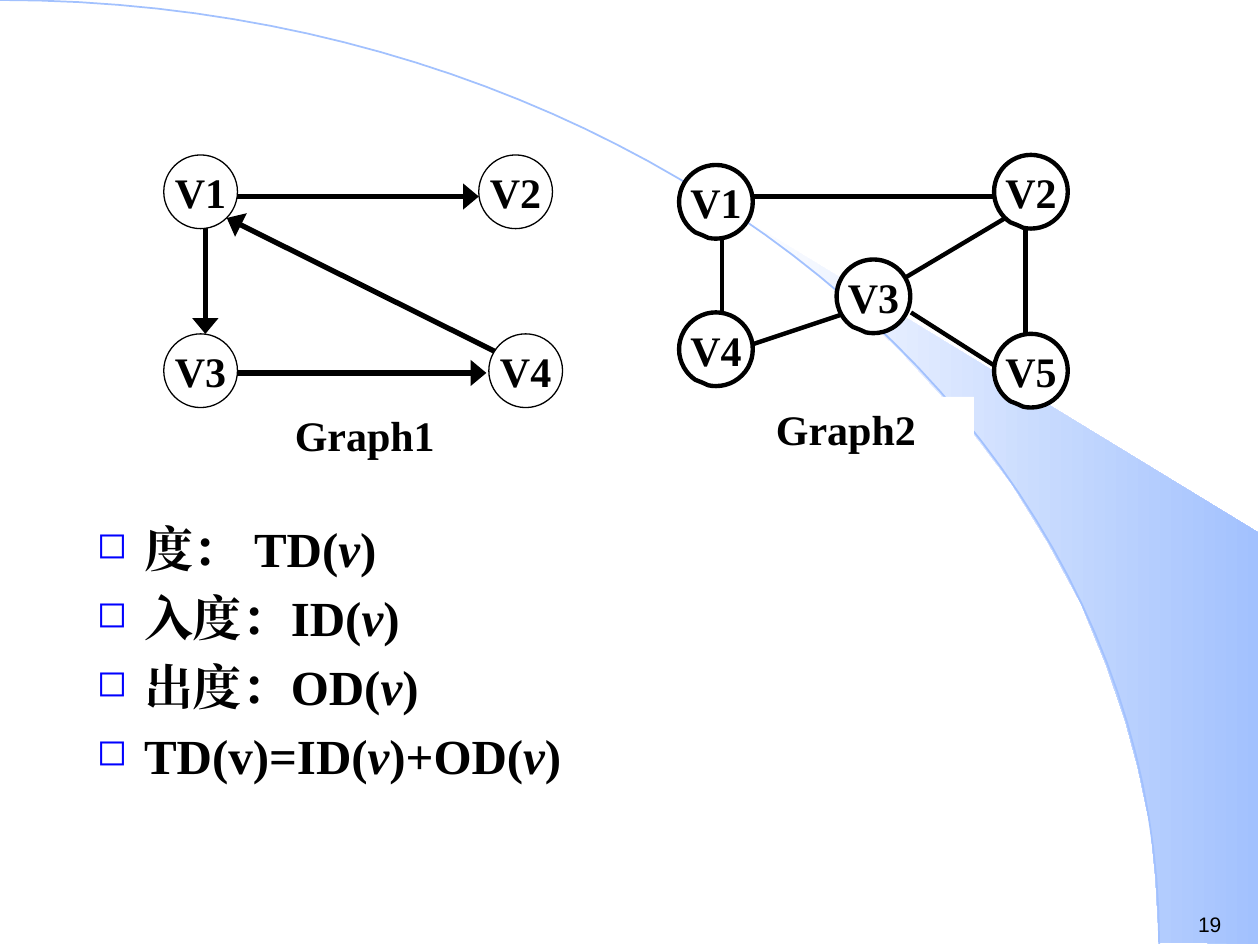
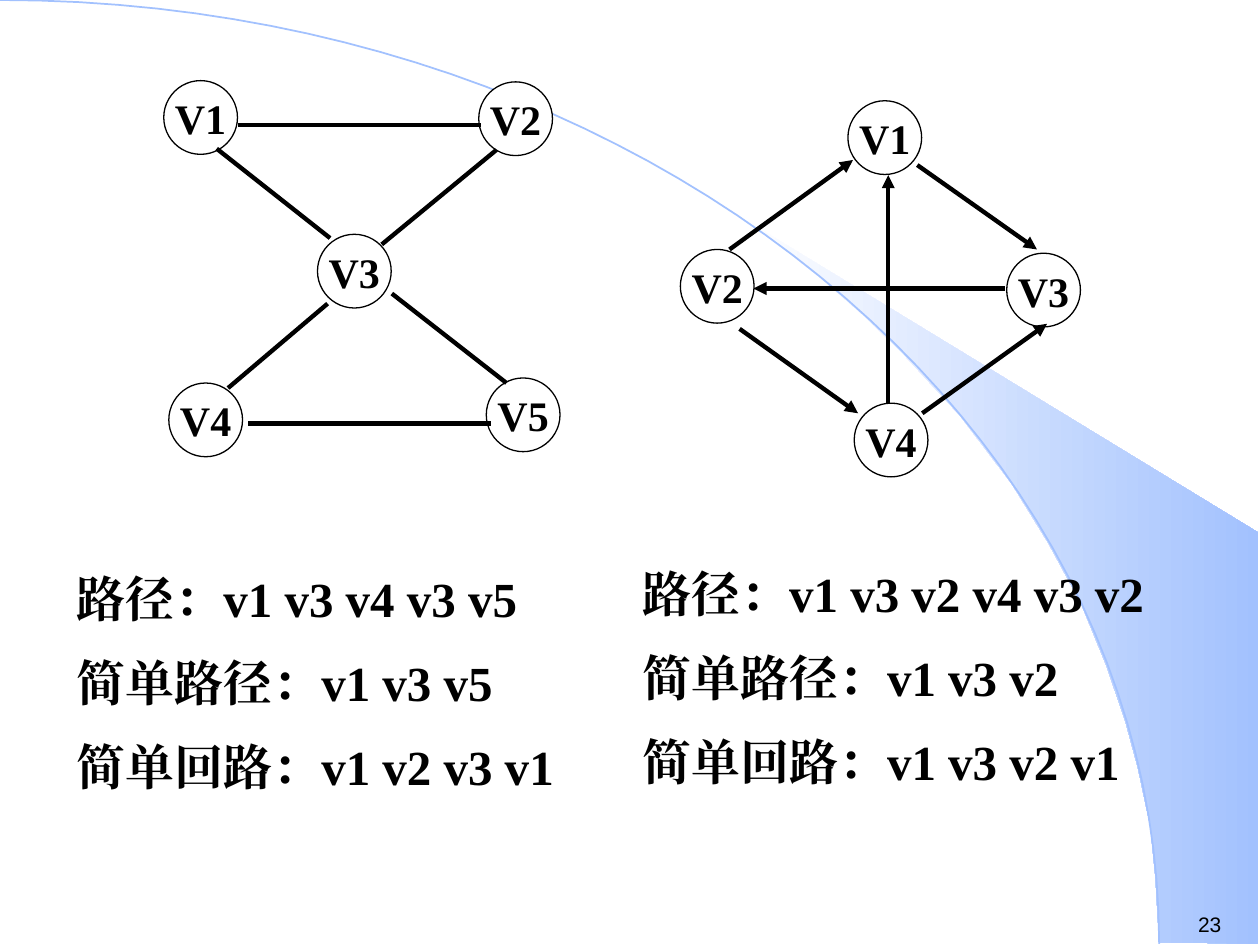
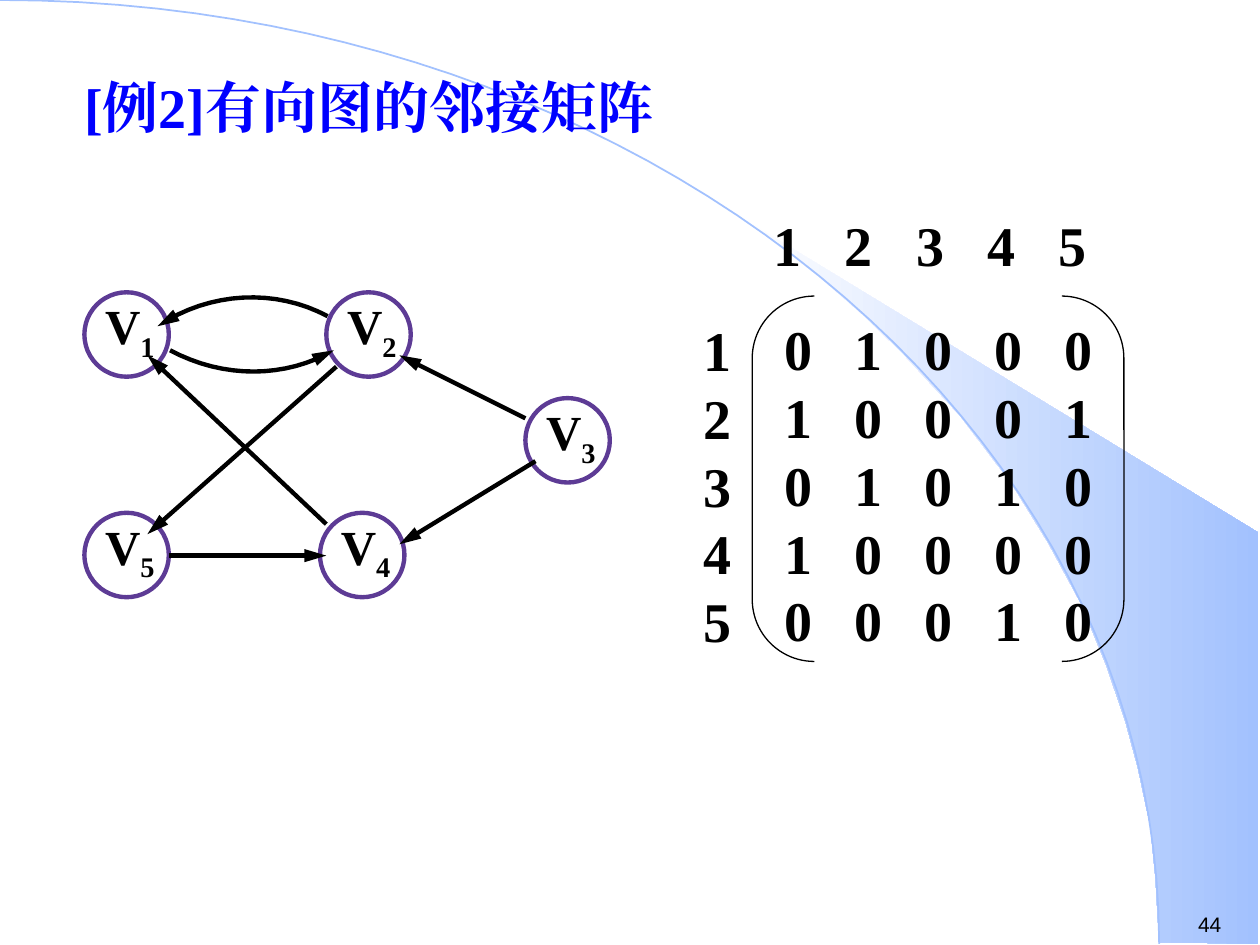
import pptx
import pptx.dml.color
import pptx.enum.shapes
import pptx.enum.text
import pptx.oxml.ns
import pptx.util
from lxml import etree

Pt = pptx.util.Pt
RGBColor = pptx.dml.color.RGBColor
SHAPE = pptx.enum.shapes.MSO_SHAPE
ALIGN = pptx.enum.text.PP_ALIGN
ANCHOR = pptx.enum.text.MSO_ANCHOR
qn = pptx.oxml.ns.qn

BLACK = RGBColor(0x00, 0x00, 0x00)
WHITE = RGBColor(0xFF, 0xFF, 0xFF)
BLUE = RGBColor(0x00, 0x00, 0xFF)
SKY = RGBColor(0xA2, 0xC1, 0xFE)
PURPLE = RGBColor(0x5D, 0x3B, 0x95)

COLUMNS, ROWS = 100, 75
LINE_HEIGHT = 1.21
INSET = (1, 0.5)
NODE = 5.85
RING = 6.7
EDGE = 2.5

BEAM = [(92, 74.8), (99.9, 74.9), (99.9, 42.3), (58.9, 17.3), (62.4, 19.9),
        (65.3, 22.2), (68.5, 25), (71.6, 28), (76.2, 33), (80.3, 38.4),
        (83.2, 43.1), (85.8, 47.9), (87.8, 52.8), (89.3, 57.2),
        (90.3, 60.9), (91.3, 65.6), (91.7, 69.6), (92, 74.8)]
ARC = [(0, 0), (50.8, 0), (92, 33.5), (92, 74.9)]


def bezier(start, control1, control2, end, steps=48):
    """Points along a cubic curve."""
    points = []
    for step in range(steps + 1):
        t = step / steps
        weights = ((1 - t) ** 3, 3 * t * (1 - t) ** 2, 3 * t * t * (1 - t), t ** 3)
        corners = (start, control1, control2, end)
        points.append(tuple(sum(w * corner[axis] for w, corner in zip(weights, corners))
                            for axis in (0, 1)))
    return points


class Deck:
    """Holds the style and the current slide; lengths are grid columns and rows."""

    font = "Times New Roman"

    def __init__(self):
        self.presentation = pptx.Presentation()
        self.presentation.slide_width = pptx.util.Inches(10)
        self.presentation.slide_height = pptx.util.Inches(7.5)
        self.slide = None

    def grid(self, *lengths):
        """Alternating column and row counts as slide lengths."""
        cells = (self.presentation.slide_width / COLUMNS,
                 self.presentation.slide_height / ROWS)
        return [pptx.util.Emu(round(length * cells[i % 2]))
                for i, length in enumerate(lengths)]

    def new_slide(self, number):
        self.slide = self.presentation.slides.add_slide(
            self.presentation.slide_layouts[6])
        beam = self.freeform(BEAM, closed=True)
        beam.line.fill.background()
        beam.fill.gradient()
        beam.fill.gradient_angle = 0
        for stop, color in zip(beam.fill.gradient_stops, (WHITE, SKY)):
            stop.color.rgb = color
        self.stroke(self.freeform(bezier(*ARC)), 1, SKY)
        self.text([str(number)], (94.1, 71.8, 5.9, 3), 12, bold=False, font="Arial")

    def stroke(self, shape, width, color=BLACK, arrow=None):
        """Line of a shape; arrow is the width and length of its end arrowhead."""
        shape.line.color.rgb = color
        shape.line.width = Pt(width)
        if arrow:
            line = shape.line._get_or_add_ln()
            etree.SubElement(line, qn("a:tailEnd"), type="triangle",
                             w=arrow[0], len=arrow[1])

    def freeform(self, points, closed=False):
        points = [self.grid(*point) for point in points]
        builder = self.slide.shapes.build_freeform(*points[0], scale=1.0)
        builder.add_line_segments(points[1:], close=closed)
        shape = builder.convert_to_shape()
        shape.shadow.inherit = False
        shape.fill.background()
        return shape

    def edges(self, pairs, width=EDGE, arrow=None):
        for x1, y1, x2, y2 in pairs:
            connector = self.slide.shapes.add_connector(
                pptx.enum.shapes.MSO_CONNECTOR.STRAIGHT, *self.grid(x1, y1, x2, y2))
            self.stroke(connector, width, arrow=arrow)
            etree.SubElement(connector._element.spPr, qn("a:effectLst"))

    def shape(self, kind, box, fill=None, line=None, width=0.75, adjustments=()):
        shape = self.slide.shapes.add_shape(kind, *self.grid(*box))
        shape.shadow.inherit = False
        for index, value in enumerate(adjustments):
            shape.adjustments[index] = value
        if fill is None:
            shape.fill.background()
        else:
            shape.fill.solid()
            shape.fill.fore_color.rgb = fill
        if line is None:
            shape.line.fill.background()
        else:
            self.stroke(shape, width, line)
        return shape

    def set_text(self, shape, lines, size, align=ALIGN.LEFT, anchor=ANCHOR.TOP,
                 wrap=True, insets=INSET * 2, gap=0, bold=True, color=BLACK,
                 font=font, bullets=False, tab=None, emphasis="italic"):
        """Fill a shape with paragraphs; parts between bars get the emphasis."""
        frame = shape.text_frame
        frame.word_wrap = wrap
        frame.vertical_anchor = anchor
        (frame.margin_left, frame.margin_top,
         frame.margin_right, frame.margin_bottom) = self.grid(*insets)
        for index, line in enumerate(lines):
            paragraph = frame.paragraphs[0] if index == 0 else frame.add_paragraph()
            paragraph.alignment = align
            paragraph.line_spacing = Pt(size * LINE_HEIGHT)
            if index:
                paragraph.space_before = Pt(size * gap)
            if bullets:
                self.bullet(paragraph)
            if tab:
                self.tabs(paragraph, tab, line.count("\t"))
            for part, words in enumerate(line.split("|")):
                if not words:
                    continue
                run = paragraph.add_run()
                run.text = words
                run.font.size = Pt(size)
                run.font.bold = bold
                run.font.name = font
                run.font.color.rgb = color
                properties = run.font._element
                etree.SubElement(properties, qn("a:ea"), typeface=font)
                if part % 2:
                    if emphasis == "italic":
                        run.font.italic = True
                    else:
                        properties.set("baseline", "-25000")

    def bullet(self, paragraph):
        properties = paragraph._p.get_or_add_pPr()
        indent = self.grid(3.75)[0]
        properties.set("marL", str(indent))
        properties.set("indent", str(-indent))
        color = etree.SubElement(properties, qn("a:buClr"))
        etree.SubElement(color, qn("a:srgbClr"), val=str(BLUE))
        etree.SubElement(properties, qn("a:buSzPct"), val="75000")
        etree.SubElement(properties, qn("a:buChar"), char="◻")

    def tabs(self, paragraph, pitch, count):
        tab_list = etree.SubElement(paragraph._p.get_or_add_pPr(), qn("a:tabLst"))
        for index in range(1, count + 1):
            etree.SubElement(tab_list, qn("a:tab"), algn="l",
                             pos=str(self.grid(pitch * index)[0]))

    def text(self, lines, box, size, **style):
        textbox = self.slide.shapes.add_textbox(*self.grid(*box))
        self.set_text(textbox, lines, size, **style)

    def nodes(self, places, kind=SHAPE.FLOWCHART_CONNECTOR, width=0.75, adjustments=()):
        for name, (left, top) in places.items():
            node = self.shape(kind, (left, top, NODE, NODE), WHITE, BLACK,
                              width, adjustments)
            self.set_text(node, [name], 24, ALIGN.CENTER, ANCHOR.MIDDLE, wrap=False)

    def rings(self, places):
        """Purple circles labelled V with a subscript."""
        for number, (left, top) in places.items():
            self.text([f"V|{number}|"], (left + 1.65, top + 0.9, 5, 6), 28,
                      insets=(0,) * 4, emphasis="subscript")
            self.shape(SHAPE.OVAL, (left, top, RING, RING), line=PURPLE, width=EDGE)


def degree_slide(deck):
    deck.new_slide(19)
    deck.text(["度： TD(|v|)", "入度：ID(|v|)", "出度：OD(|v|)",
               "TD(v)=ID(|v|)+OD(|v|)"],
              (6.7, 40.6, 89.4, 24.4), 28, gap=0.2, bullets=True)

    deck.edges([(57.3, 19, 57.3, 25.6), (59.8, 15.6, 78.9, 15.6),
                (81.4, 18.1, 81.4, 27.3), (78.9, 29, 72.3, 24.8),
                (79.8, 17.3, 71.4, 22.3), (67.3, 24.8, 59.8, 27.3)])
    caption = deck.shape(SHAPE.RECTANGLE, (60.6, 31.5, 16.7, 5), WHITE)
    deck.set_text(caption, ["Graph2"], 24)
    deck.nodes({"V5": (78.9, 26.5), "V1": (53.9, 13.1), "V2": (78.9, 12.3),
                "V3": (66.4, 20.6), "V4": (53.9, 24.8)},
               SHAPE.OVAL_CALLOUT, EDGE, (-0.19, 0.45))

    deck.edges([(16.3, 18.1, 16.3, 26.5), (18.8, 15.6, 38, 15.6),
                (18.9, 29.6, 38.6, 29.6), (39.7, 28.1, 18, 17.3)],
               width=3, arrow=("lg", "med"))
    deck.nodes({"V4": (38.8, 26.5), "V3": (13, 26.5),
                "V2": (38, 12.3), "V1": (13, 12.3)})
    deck.text(["Graph1"], (22.4, 32, 13.1, 5), 24, align=ALIGN.CENTER, wrap=False)


def path_slide(deck):
    deck.new_slide(23)
    arrow = ("med", "med")
    deck.edges([(70.5, 32, 70.5, 13.9), (79.8, 22.9, 59.8, 22.9)], arrow=arrow)
    deck.nodes({"V5": (38.6, 30), "V4": (13.4, 30.4), "V2": (38, 6.5),
                "V1": (13, 6.4), "V3": (25.2, 18.6)})
    deck.edges([(18.9, 9.9, 38.2, 9.9), (19.7, 33.6, 39, 33.6),
                (18.1, 30.8, 26, 24.1), (31.1, 23.3, 40.2, 30.4),
                (17.2, 11.8, 26.2, 18.9), (30.3, 19.4, 39.4, 11.9)])
    deck.nodes({"V1": (67.3, 8), "V2": (54, 19.8),
                "V3": (79.9, 20.1), "V4": (67.8, 32)})
    deck.edges([(72.8, 13.1, 82.3, 19.8), (58.7, 26.1, 68.1, 32.8),
                (57.9, 19.8, 67.7, 12.7), (73.2, 32.8, 83.1, 25.7)], arrow=arrow)

    kinds = ("路径", "简单路径", "简单回路")
    columns = [((5.1, 44.6, 42.9, 19.7), ("v1 v3 v4 v3 v5", "v1 v3 v5", "v1 v2 v3 v1")),
               ((50, 44.2, 44.1, 19.7), ("v1 v3 v2 v4 v3 v2", "v1 v3 v2", "v1 v3 v2 v1"))]
    for box, walks in columns:
        deck.text([f"{kind}：{walk}" for kind, walk in zip(kinds, walks)],
                  box, 28, gap=0.5)


def matrix_slide(deck):
    deck.new_slide(44)
    deck.text(["[例2]有向图的邻接矩阵"], (5.7, 5.2, 80, 7), 32, color=BLUE)

    arrow = ("med", "lg")
    deck.rings({1: (6.7, 23.2), 4: (25.4, 40.7), 5: (6.7, 40.7),
                2: (25.9, 23.2), 3: (41.7, 31.6)})
    deck.edges([(41.7, 33.2, 31.7, 28.2), (42.5, 36.6, 31.7, 43.2),
                (13.4, 44.1, 25.9, 44.1), (26.7, 29.1, 11.7, 42.4),
                (25.9, 41.6, 11.7, 28.2)], arrow=arrow)
    for curve in ([(13.5, 27.8), (17.8, 30.1), (22.7, 30), (26.5, 27.8)],
                  [(26, 25.1), (21.9, 22.9), (16.7, 23.1), (12.5, 25.9)]):
        deck.stroke(deck.freeform(bezier(*curve, steps=16)), EDGE, arrow=arrow)

    labels = "12345"
    flush = (0,) * 4
    deck.text(labels, (54.2, 25, 5.5, 23), 32, align=ALIGN.CENTER, insets=flush)
    bracket = deck.shape(SHAPE.DOUBLE_BRACKET, (59.7, 23.5, 29.5, 29),
                         line=BLACK, adjustments=(0.17,))
    matrix = ("01000", "10001", "01010", "10000", "00010")
    deck.set_text(bracket, ["\t".join(row) for row in matrix], 32,
                  insets=(1.1, 0, 0, 0), tab=5.56)
    deck.text(["\t".join(labels)], (61.4, 16.7, 26.1, 6.9), 32, insets=flush, tab=5.66)


def main():
    deck = Deck()
    degree_slide(deck)
    path_slide(deck)
    matrix_slide(deck)
    deck.presentation.save("out.pptx")


if __name__ == "__main__":
    main()
